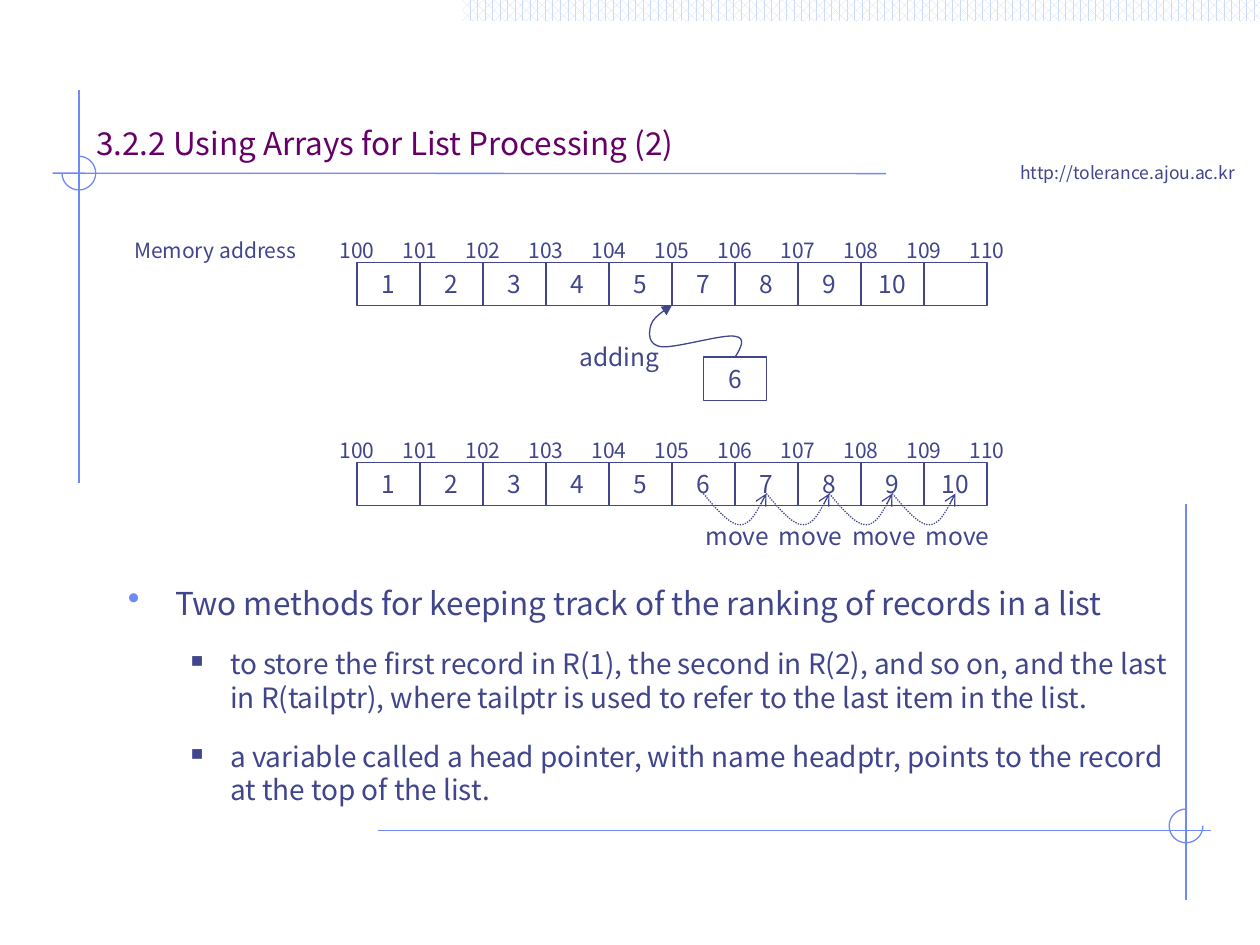
from lxml.etree import SubElement
from pptx import Presentation
from pptx.dml.color import RGBColor
from pptx.enum.dml import MSO_LINE, MSO_PATTERN
from pptx.enum.shapes import MSO_CONNECTOR, MSO_SHAPE
from pptx.enum.text import MSO_ANCHOR as Anchor, PP_ALIGN as Align
from pptx.oxml.ns import qn
from pptx.util import Cm, Pt

NAVY = RGBColor(0x40, 0x45, 0x8C)
BLUE = RGBColor(0x6F, 0x89, 0xF7)
PURPLE = RGBColor(0x66, 0x00, 0x66)
PALE = RGBColor(0xCF, 0xDB, 0xFD)
WHITE = RGBColor(0xFF, 0xFF, 0xFF)
FONT = "Noto Sans CJK KR"
BULLET_FONT = "OpenSymbol"
CELL, CELL_HEIGHT = 1.27, 0.87
ARRAY_LEFT = 7.2
METHODS = (
    "to store the first record in R(1), the second in R(2), and so on, and the last "
    "in R(tailptr), where tailptr is used to refer to the last item in the list.",
    "a variable called a head pointer, with name headptr, points to the record "
    "at the top of the list.",
)


def write(paragraph, text, size=14, color=NAVY, align=Align.LEFT):
    """Put formatted text into a paragraph."""
    run = paragraph.add_run()
    run.text = text
    paragraph.alignment = align
    run.font.size = Pt(size)
    run.font.name = FONT
    run.font.color.rgb = color


def add_label(slide, text, left, top, width, height, wrap=True, anchor=Anchor.TOP, **style):
    """Add a text box holding one paragraph."""
    frame = slide.shapes.add_textbox(Cm(left), Cm(top), Cm(width), Cm(height)).text_frame
    frame.word_wrap = wrap
    frame.vertical_anchor = anchor
    write(frame.paragraphs[0], text, **style)


def add_cell(slide, text, left, top):
    """Add one outlined array cell."""
    cell = slide.shapes.add_shape(
        MSO_SHAPE.RECTANGLE, Cm(left), Cm(top), Cm(CELL), Cm(CELL_HEIGHT))
    cell.shadow.inherit = False
    cell.fill.background()
    cell.line.color.rgb = NAVY
    cell.line.width = Pt(0.75)
    if text:
        cell.text_frame.vertical_anchor = Anchor.MIDDLE
        write(cell.text_frame.paragraphs[0], text, align=Align.CENTER)


def add_array(slide, values, top):
    """Add a row of cells with memory addresses over their borders."""
    for i, value in enumerate(values):
        add_cell(slide, value, ARRAY_LEFT + i * CELL, top)
    for i in range(len(values) + 1):
        add_label(slide, str(100 + i), ARRAY_LEFT + (i - 0.5) * CELL, top - 0.63,
                  CELL, 0.76, size=12, align=Align.CENTER)


def add_rule(slide, x1, y1, x2, y2):
    """Add a thin decorative line."""
    rule = slide.shapes.add_connector(
        MSO_CONNECTOR.STRAIGHT, Cm(x1), Cm(y1), Cm(x2), Cm(y2))
    rule.line.color.rgb = BLUE
    rule.line.width = Pt(0.75)
    SubElement(rule._element.spPr, qn("a:effectLst"))


def add_curve(slide, knots, color):
    """Add an open chain of cubic Bezier segments and return its line."""
    start, *rest = [(Cm(x), Cm(y)) for x, y in knots]
    builder = slide.shapes.build_freeform(*start)
    builder.add_line_segments(rest, close=False)
    curve = builder.convert_to_shape()
    outline = next(curve._element.iter(qn("a:path")))
    corners = outline.findall(qn("a:lnTo"))
    for k in range(0, len(corners), 3):
        segment = SubElement(outline, qn("a:cubicBezTo"))
        for corner in corners[k:k + 3]:
            segment.append(corner[0])
            outline.remove(corner)
    curve.shadow.inherit = False
    curve.fill.background()
    curve.line.color.rgb = color
    curve.line.width = Pt(0.75)
    return curve.line


def add_ring(slide, x, y, side, radius=0.34):
    """Add a three-quarter circle from one side (1 right, -1 left) by the bottom to the top."""
    pull = 0.55
    knots = ((1, 0), (1, pull), (pull, 1), (0, 1), (-pull, 1), (-1, pull),
             (-1, 0), (-1, -pull), (-pull, -1), (0, -1))
    add_curve(slide, [(x + side * radius * dx, y + radius * dy) for dx, dy in knots], BLUE)


def add_arrow(slide, knots, end, head, dash=None):
    """Add a curved arrow with its head at headEnd or tailEnd."""
    line = add_curve(slide, knots, NAVY)
    if dash:
        line.dash_style = dash
    SubElement(line._get_or_add_ln(), qn(f"a:{end}"), type=head)


def add_bullet(paragraph, text, char, color, percent, margin, hanging, **style):
    """Write a bulleted paragraph with a hanging indent."""
    props = paragraph._p.get_or_add_pPr()
    props.set("marL", str(Cm(margin)))
    props.set("indent", str(-Cm(hanging)))
    SubElement(SubElement(props, qn("a:buClr")), qn("a:srgbClr"), val=str(color))
    SubElement(props, qn("a:buSzPct"), val=str(percent * 1000))
    SubElement(props, qn("a:buFont"), typeface=BULLET_FONT)
    SubElement(props, qn("a:buChar"), char=char)
    write(paragraph, text, **style)


def add_frame(slide):
    """Add the hatched band and the two corner ornaments."""
    band = slide.shapes.add_shape(MSO_SHAPE.RECTANGLE, Cm(9.32), Cm(0), Cm(16.08), Cm(0.43))
    band.shadow.inherit = False
    band.fill.patterned()
    band.fill.pattern = MSO_PATTERN.PERCENT_60
    band.fill.fore_color.rgb = PALE
    band.fill.back_color.rgb = WHITE
    band.line.fill.background()
    add_rule(slide, 7.62, 16.74, 24.41, 16.74)
    add_rule(slide, 23.91, 10.16, 23.91, 18.15)
    add_ring(slide, 23.91, 16.65, 1)
    add_rule(slide, 1.59, 1.82, 1.59, 9.73)
    add_rule(slide, 17.86, 3.5, 1.06, 3.49)
    add_ring(slide, 1.59, 3.49, -1)


def add_insertion(slide):
    """Add the new record and the arrow into the first array."""
    add_cell(slide, "6", 14.18, 7.2)
    add_arrow(slide, [
        (13.55, 6.15), (13.36, 6.27), (13.16, 6.43), (13.12, 6.56),
        (13.08, 6.7), (13.05, 6.96), (13.34, 6.99),
        (13.63, 7.02), (14.58, 6.73), (14.82, 6.78),
        (15.05, 6.81), (14.93, 7.02), (14.82, 7.2)], "headEnd", "triangle")
    add_label(slide, "adding", 11.43, 6.77, 2.12, 0.85)


def add_moves(slide):
    """Add the dotted arrows that shift records to the right."""
    hop = ((0, 0), (0.25, 0.3), (0.53, 0.63), (0.73, 0.63),
           (0.93, 0.63), (1.12, 0.3), (CELL, 0))
    for i in range(4):
        add_arrow(slide, [(14.18 + i * CELL + x, 9.95 + y) for x, y in hop],
                  "tailEnd", "arrow", MSO_LINE.ROUND_DOT)
        add_label(slide, "move", 13.97 + i * 1.48, 10.37, 1.9, 0.85)


def add_methods(slide):
    """Add the bulleted text below the arrays."""
    frame = slide.shapes.add_textbox(Cm(2.33), Cm(11.64), Cm(21.59), Cm(5.29)).text_frame
    frame.word_wrap = True
    add_bullet(frame.paragraphs[0],
               "Two methods for keeping track of the ranking of records in a list",
               "•", BLUE, 110, 0.95, 0.95, size=18)
    for method in METHODS:
        paragraph = frame.add_paragraph()
        paragraph.level = 1
        add_bullet(paragraph, method, "■", NAVY, 60, 2.06, 0.79, size=16)
        paragraph.space_before = Pt(14.5)


def main():
    """Build and save the slide."""
    deck = Presentation()
    deck.slide_width, deck.slide_height = Cm(25.4), Cm(19.05)
    slide = deck.slides.add_slide(deck.slide_layouts[6])
    add_frame(slide)
    add_label(slide, "http://tolerance.ajou.ac.kr", 20.32, 3.14, 4.83, 0.69,
              wrap=False, size=10)
    add_label(slide, "3.2.2 Using Arrays for List Processing (2)", 1.69, 1.69, 17.98, 1.7,
              anchor=Anchor.BOTTOM, size=18, color=PURPLE)
    add_label(slide, "Memory address", 2.33, 4.66, 4.02, 0.76, size=12, align=Align.CENTER)
    add_array(slide, ["1", "2", "3", "4", "5", "7", "8", "9", "10", ""], 5.29)
    add_array(slide, [str(n) for n in range(1, 11)], 9.32)
    add_insertion(slide)
    add_moves(slide)
    add_methods(slide)
    deck.save("out.pptx")


if __name__ == "__main__":
    main()
